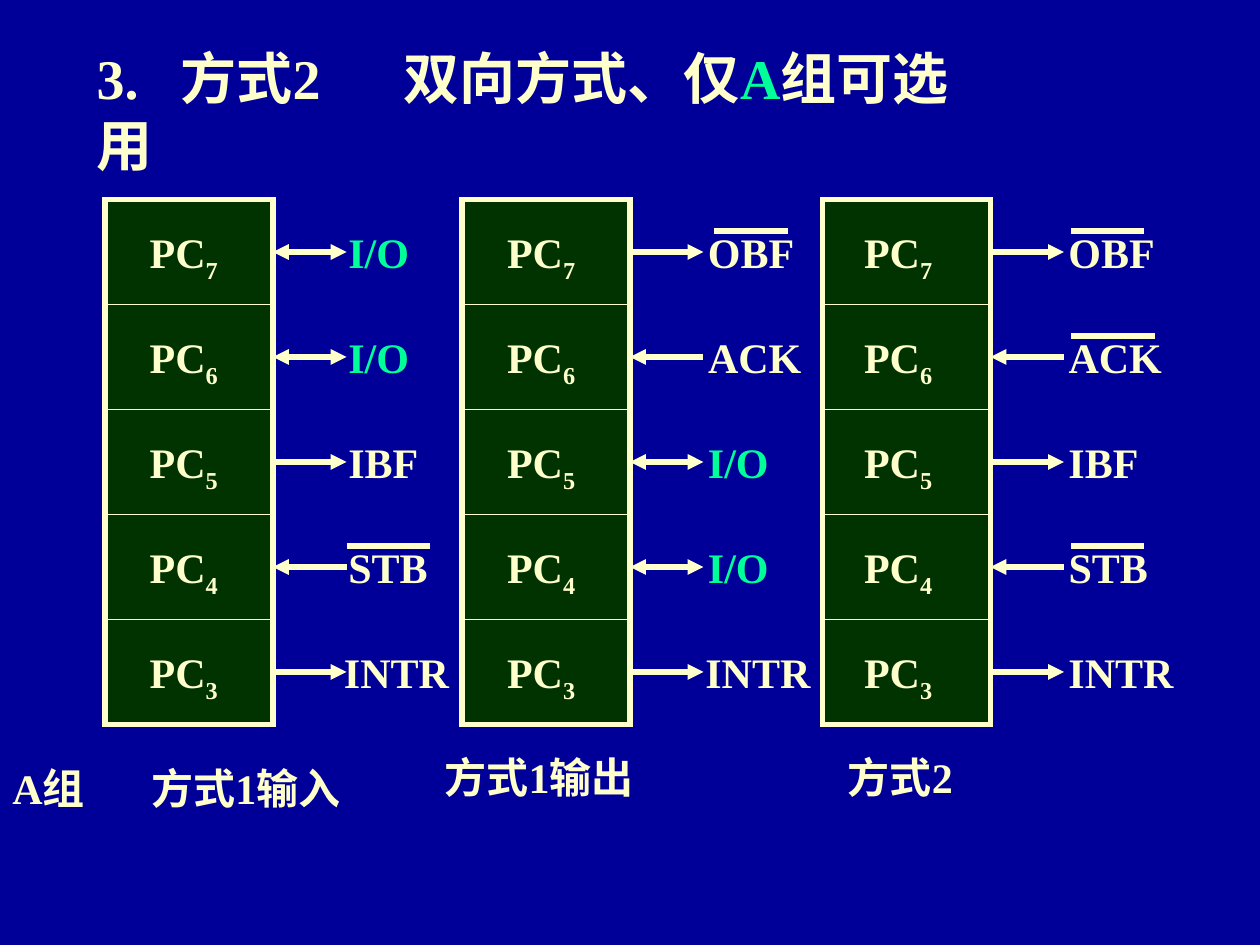
import dataclasses
import typing

import pptx
import pptx.dml.color
import pptx.enum.shapes
import pptx.enum.text
import pptx.oxml.ns
import pptx.util
from lxml import etree

Pt = pptx.util.Pt
CREAM, MINT, GREEN, NAVY = "FFFFCC", "00FF99", "003300", "000099"
FONT = "Times New Roman"

# Column grid, in points
TOP, PITCH, WIDTH = 114, 60, 96
PORTS = "76543"
WIDE = {"I/O": 52, "IBF": 58, "STB": 63, "ACK": 71, "OBF": 67, "INTR": 78}


@dataclasses.dataclass
class Pin:
    name: str
    flow: str  # "in", "out" or "both", as seen from the port
    bar: float = 0  # length of the line above the name


@dataclasses.dataclass
class Column:
    left: float
    port: float  # left edge of the port names
    label: float  # left edge of the pin names
    last: float  # left edge of the lowest pin name
    bar: float  # left end of the lines above names
    note: str
    spot: tuple[float, float, float]  # left, top and width of the note
    pins: list[Pin]


COLUMNS = [
    Column(60, 78.5, 192, 189.5, 198, "A组\t方式1输入", (0, 432, 222),
           [Pin("I/O", "both"), Pin("I/O", "both"), Pin("IBF", "out"),
            Pin("STB", "in", 48), Pin("INTR", "out")]),
    Column(264, 282.7, 397.5, 396, 408, "方式1输出", (247, 426, 134),
           [Pin("OBF", "out", 42), Pin("ACK", "in"), Pin("I/O", "both"),
            Pin("I/O", "both"), Pin("INTR", "out")]),
    Column(470, 486.7, 603.5, 603.5, 612, "方式2", (477.4, 426, 80),
           [Pin("OBF", "out", 42), Pin("ACK", "in", 48), Pin("IBF", "out"),
            Pin("STB", "in", 42), Pin("INTR", "out")]),
]


def paint(target: typing.Any, tint: str) -> None:
    """Give a fill or a colour format a hex colour."""
    if hasattr(target, "solid"):
        target.solid()
        target = target.fore_color
    target.rgb = pptx.dml.color.RGBColor.from_string(tint)


def write(frame, text: str, *, size: float = 24, tint: str = CREAM,
          sub: bool = False) -> None:
    """Append a run to the first paragraph of a text frame."""
    run = frame.paragraphs[0].add_run()
    run.text = text
    run.font.name = FONT
    run.font.size = Pt(size)
    run.font.bold = True
    paint(run.font.color, tint)
    if sub:
        run.font._element.set("baseline", "-25000")


def set_tabs(frame, stops: list[float]) -> None:
    props = frame.paragraphs[0]._p.get_or_add_pPr()
    tabs = etree.SubElement(props, pptx.oxml.ns.qn("a:tabLst"))
    for stop in stops:
        etree.SubElement(tabs, pptx.oxml.ns.qn("a:tab"),
                         pos=str(int(Pt(stop))), algn="l")


def add_box(slide, left: float, top: float, width: float,
            height: float = 36, wrap: bool = False):
    box = slide.shapes.add_textbox(Pt(left), Pt(top), Pt(width), Pt(height))
    frame = box.text_frame
    frame.word_wrap = wrap
    frame.auto_size = pptx.enum.text.MSO_AUTO_SIZE.SHAPE_TO_FIT_TEXT
    return frame


def add_line(slide, start: float, end: float, level: float,
             weight: float = 3, flow: str = "") -> None:
    """Draw a level line; flow "in" points to its start, "out" to its end."""
    line = slide.shapes.add_connector(
        pptx.enum.shapes.MSO_CONNECTOR.STRAIGHT,
        Pt(start), Pt(level), Pt(end), Pt(level))
    line.line.width = Pt(weight)
    paint(line.line.fill, CREAM)
    stroke = line.line._get_or_add_ln()
    for tag, ways in (("a:headEnd", ("in", "both")),
                      ("a:tailEnd", ("out", "both"))):
        if flow in ways:
            etree.SubElement(stroke, pptx.oxml.ns.qn(tag), type="triangle")
    etree.SubElement(line._element.spPr, pptx.oxml.ns.qn("a:effectLst"))


def draw_column(slide, col: Column) -> None:
    # Port block with square corners and its dividers
    block = slide.shapes.add_shape(
        pptx.enum.shapes.MSO_SHAPE.RECTANGLE,
        Pt(col.left), Pt(TOP), Pt(WIDTH), Pt(PITCH * len(PORTS)))
    block.shadow.inherit = False
    paint(block.fill, GREEN)
    paint(block.line.fill, CREAM)
    block.line.width = Pt(3)
    etree.SubElement(block.line._get_or_add_ln(),
                     pptx.oxml.ns.qn("a:miter"), lim="800000")
    edge = col.left + WIDTH
    for row in range(1, len(PORTS)):
        add_line(slide, col.left, edge, TOP + PITCH * row, weight=0.75)

    # Ports, arrows and pin names
    for row, (port, pin) in enumerate(zip(PORTS, col.pins)):
        top = TOP + PITCH * row
        name = add_box(slide, col.port, top + 12, 56, 40)
        write(name, "PC")
        write(name, port, sub=True)
        add_line(slide, edge, edge + 42, top + 30, flow=pin.flow)
        left = col.last if row == len(PORTS) - 1 else col.label
        label = add_box(slide, left, top + 12, WIDE[pin.name])
        write(label, pin.name, tint=MINT if pin.name == "I/O" else CREAM)
        if pin.bar:
            add_line(slide, col.bar, col.bar + pin.bar, top + 18)

    # Note below the block
    note = add_box(slide, *col.spot, wrap=True)
    if "\t" in col.note:
        set_tabs(note, [79.5])
    write(note, col.note)


def main() -> None:
    deck = pptx.Presentation()
    deck.slide_width, deck.slide_height = Pt(720), Pt(540)
    slide = deck.slides.add_slide(deck.slide_layouts[5])
    paint(slide.background.fill, NAVY)

    # Title
    title = slide.shapes.title
    title.left, title.top = Pt(48), Pt(36)
    title.width, title.height = Pt(528), Pt(54)
    frame = title.text_frame
    frame.word_wrap = True
    frame.auto_size = pptx.enum.text.MSO_AUTO_SIZE.NONE
    frame.vertical_anchor = pptx.enum.text.MSO_ANCHOR.MIDDLE
    frame.paragraphs[0].alignment = pptx.enum.text.PP_ALIGN.LEFT
    set_tabs(frame, [48, 175.5])
    write(frame, "3.\t方式2\t双向方式、仅", size=32)
    write(frame, "A", size=32, tint=MINT)
    write(frame, "组可选用", size=32)

    # Port columns
    for col in COLUMNS:
        draw_column(slide, col)

    deck.save("out.pptx")


if __name__ == "__main__":
    main()
